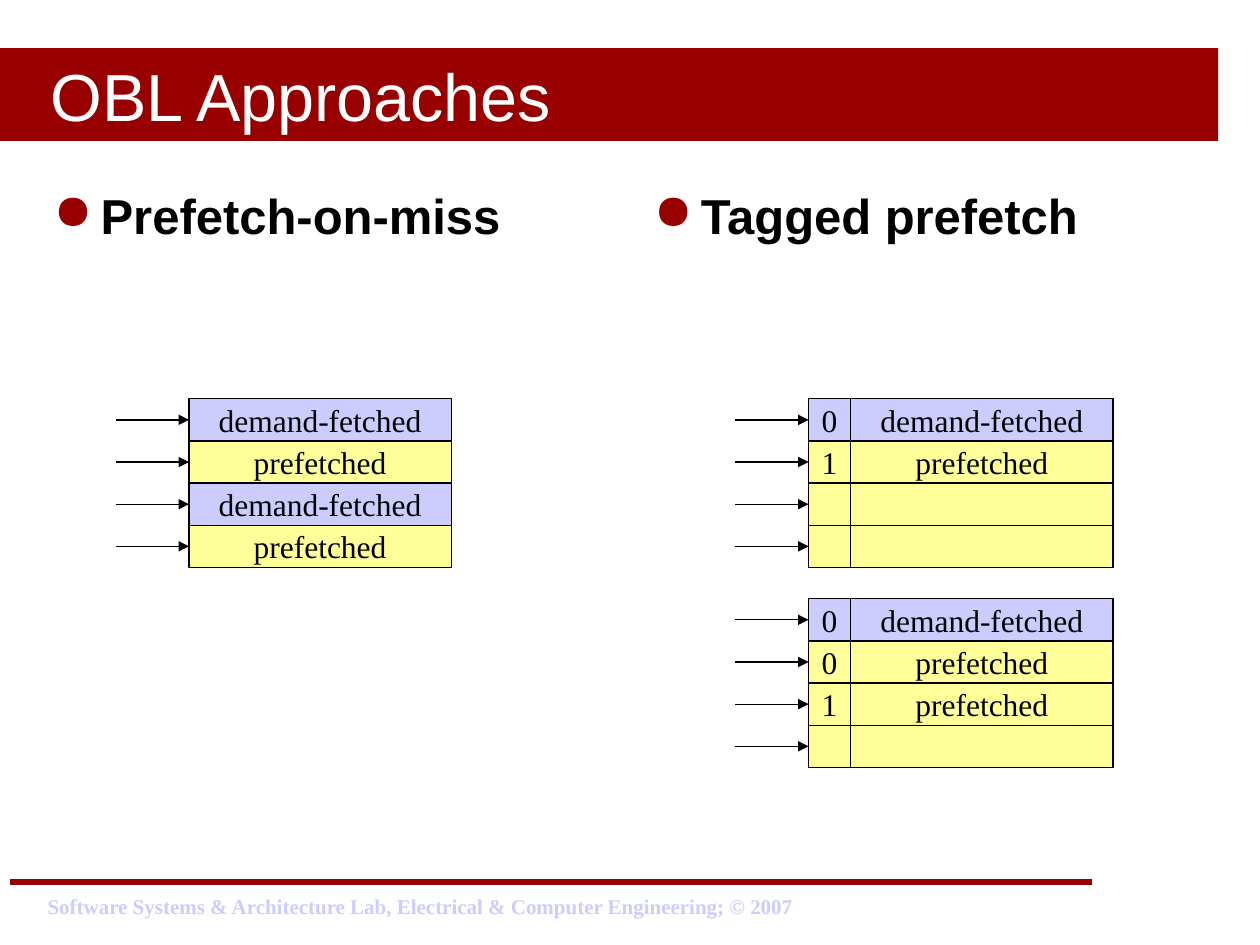
from lxml import etree
from pptx import Presentation
from pptx.dml.color import RGBColor
from pptx.enum.shapes import MSO_CONNECTOR, MSO_SHAPE
from pptx.enum.text import MSO_ANCHOR, PP_ALIGN
from pptx.oxml.ns import qn
from pptx.util import Cm, Pt

DARK_RED = RGBColor(0x98, 0x00, 0x00)
LAVENDER = RGBColor(0xCC, 0xCC, 0xFF)
YELLOW = RGBColor(0xFF, 0xFF, 0x99)
BLACK = RGBColor(0x00, 0x00, 0x00)
WHITE = RGBColor(0xFF, 0xFF, 0xFF)

ROW_HEIGHT = Cm(0.85)
TAG_WIDTH = Cm(0.85)
BLOCK_WIDTH = Cm(5.29)
ARROW_LENGTH = Cm(1.48)

DEMAND, PREFETCHED = "demand-fetched", "prefetched"


def write_text(shape, text, size, color, font="Arial", bold=False):
    paragraph = shape.text_frame.paragraphs[0]
    paragraph.text = text
    paragraph.font.name = font
    paragraph.font.size = Pt(size)
    paragraph.font.bold = bold
    paragraph.font.color.rgb = color
    return paragraph


def add_line(slide, start, end, color, width):
    line = slide.shapes.add_connector(MSO_CONNECTOR.STRAIGHT, *start, *end)
    line.line.color.rgb = color
    line.line.width = Pt(width)
    etree.SubElement(line._element.spPr, qn("a:effectLst"))
    return line


def add_rectangle(slide, left, top, width, height, fill):
    rectangle = slide.shapes.add_shape(MSO_SHAPE.RECTANGLE, left, top, width, height)
    rectangle.shadow.inherit = False
    rectangle.fill.solid()
    rectangle.fill.fore_color.rgb = fill
    rectangle.text_frame.vertical_anchor = MSO_ANCHOR.MIDDLE
    return rectangle


def add_title(slide, text):
    banner = add_rectangle(slide, 0, Cm(0.97), Cm(24.56), Cm(1.87), DARK_RED)
    banner.line.fill.background()
    banner.text_frame.margin_left = Cm(1.02)
    write_text(banner, text, 38, WHITE).alignment = PP_ALIGN.LEFT


def add_bullet_heading(slide, left, text):
    heading = slide.shapes.add_textbox(left, Cm(3.61), Cm(11.63), Cm(2.9))
    heading.text_frame.word_wrap = True
    paragraph = write_text(heading, text, 28, BLACK, bold=True)
    paragraph.space_before = Pt(7)
    properties = paragraph._p.get_or_add_pPr()
    properties.set("marL", str(Cm(0.95)))
    properties.set("indent", str(-Cm(0.95)))
    bullet_color = etree.SubElement(properties, qn("a:buClr"))
    etree.SubElement(bullet_color, qn("a:srgbClr"), val=str(DARK_RED))
    etree.SubElement(properties, qn("a:buChar"), char="●")
    # The default font must follow the bullet settings
    properties.append(properties.find(qn("a:defRPr")))


def add_cell(slide, left, top, width, fill, text):
    cell = add_rectangle(slide, left, top, width, ROW_HEIGHT, fill)
    cell.line.color.rgb = BLACK
    cell.line.width = Pt(0.75)
    if text:
        cell.text_frame.word_wrap = False
        write_text(cell, text, 18, BLACK, "Times New Roman").alignment = PP_ALIGN.CENTER
    return cell


def add_arrow_to(slide, cell):
    middle = cell.top + cell.height // 2
    arrow = add_line(slide, (cell.left - ARROW_LENGTH, middle), (cell.left, middle), BLACK, 0.75)
    arrow.end_connect(cell, 1)
    etree.SubElement(arrow.line._get_or_add_ln(), qn("a:tailEnd"), type="triangle")


def add_cache(slide, left, top, rows):
    """Stack cache blocks; a tag of None means the row has no tag cell."""
    for index, (tag, label) in enumerate(rows):
        row_top = top + index * ROW_HEIGHT
        fill = LAVENDER if label == DEMAND else YELLOW
        block_left = left if tag is None else left + TAG_WIDTH
        first_cell = add_cell(slide, block_left, row_top, BLOCK_WIDTH, fill, label)
        if tag is not None:
            first_cell = add_cell(slide, left, row_top, TAG_WIDTH, fill, tag)
        add_arrow_to(slide, first_cell)


def add_footer(slide, text):
    add_line(slide, (Cm(0.21), Cm(17.78)), (Cm(22.02), Cm(17.78)), DARK_RED, 3)
    footer = slide.shapes.add_textbox(Cm(0.71), Cm(17.88), Cm(15.6), Cm(0.76))
    footer.text_frame.word_wrap = False
    write_text(footer, text, 12, LAVENDER, "Times New Roman", bold=True)


def main():
    presentation = Presentation()
    presentation.slide_width = Cm(25.4)
    presentation.slide_height = Cm(19.05)
    slide = presentation.slides.add_slide(presentation.slide_layouts[6])

    # Frame
    add_footer(slide, "Software Systems & Architecture Lab, "
                      "Electrical & Computer Engineering; © 2007")
    add_title(slide, "OBL Approaches")

    # Column headings
    add_bullet_heading(slide, Cm(0.83), "Prefetch-on-miss")
    add_bullet_heading(slide, Cm(12.93), "Tagged prefetch")

    # Cache states
    add_cache(slide, Cm(3.81), Cm(8.04), [(None, DEMAND), (None, PREFETCHED)] * 2)
    add_cache(slide, Cm(16.3), Cm(8.04),
              [("0", DEMAND), ("1", PREFETCHED), ("", ""), ("", "")])
    add_cache(slide, Cm(16.3), Cm(12.07),
              [("0", DEMAND), ("0", PREFETCHED), ("1", PREFETCHED), ("", "")])

    presentation.save("out.pptx")


if __name__ == "__main__":
    main()
